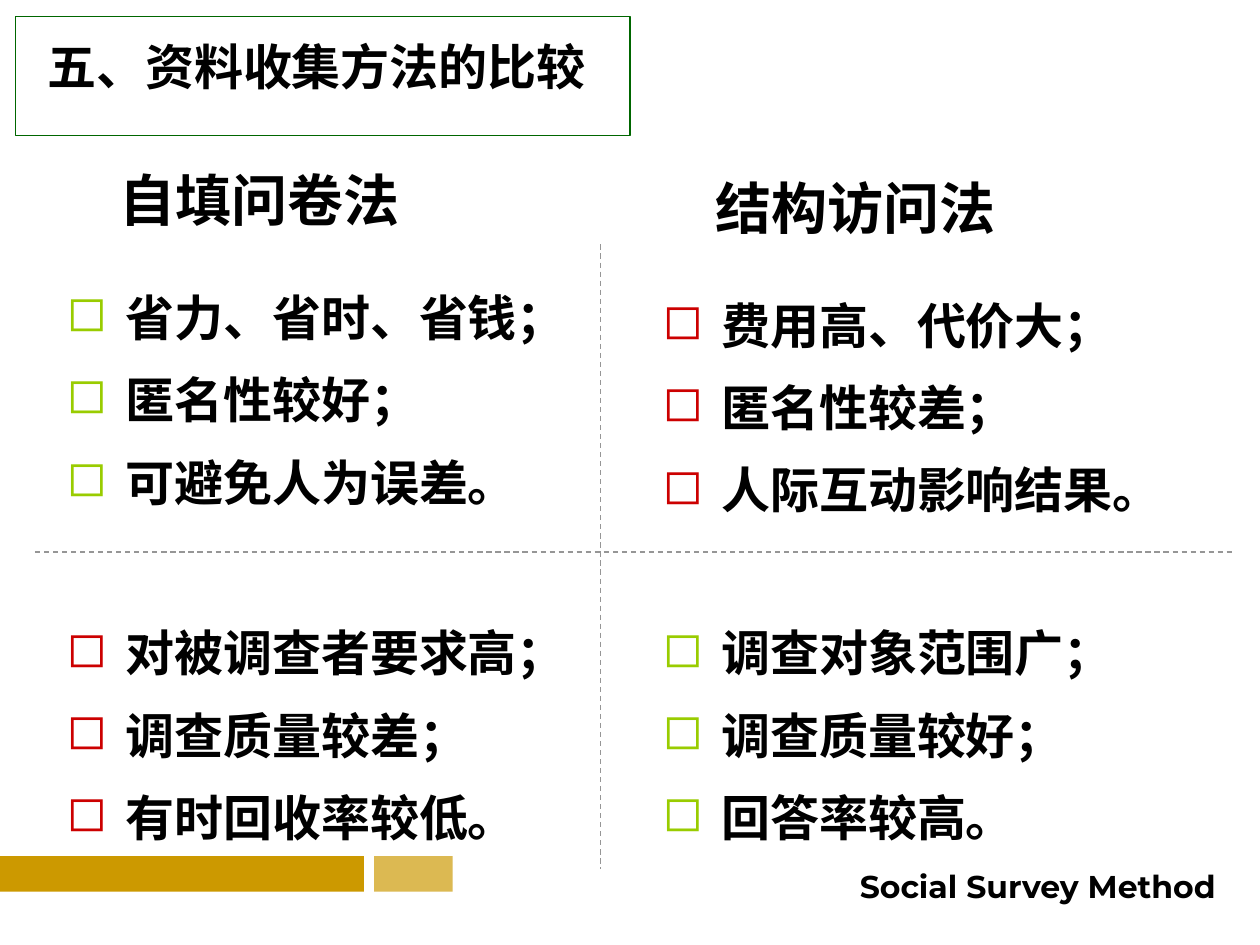
from lxml import etree
from pptx import Presentation
from pptx.dml.color import RGBColor
from pptx.enum.dml import MSO_LINE
from pptx.enum.shapes import MSO_CONNECTOR, MSO_SHAPE
from pptx.enum.text import PP_ALIGN
from pptx.oxml.ns import qn
from pptx.util import Pt

RECT, STRAIGHT = MSO_SHAPE.RECTANGLE, MSO_CONNECTOR.STRAIGHT
DASH, CENTER = MSO_LINE.DASH, PP_ALIGN.CENTER
CJK = "Noto Sans CJK JP"
GREEN, RED = "99CC00", "CC0000"


def color(value):
    return RGBColor.from_string(value)


def style(paragraph, text, size, latin, line_height=None):
    paragraph.text = text
    paragraph.line_spacing = Pt(line_height) if line_height else None
    font = paragraph.font
    font.size, font.bold, font.name = Pt(size), True, latin
    font.color.rgb = color("000000")
    east_asian = etree.SubElement(paragraph._p.pPr.find(qn("a:defRPr")), qn("a:ea"))
    east_asian.set("typeface", CJK)


prs = Presentation()
prs.slide_width, prs.slide_height = Pt(720), Pt(540)
slide = prs.slides.add_slide(prs.slide_layouts[6])
shapes = slide.shapes

# Gold bars at the foot; the short one is translucent
for left, width, opacity in [(0, 208), (213.8, 44.9)] and [(0, 208, 100), (213.8, 44.9, 68)]:
    bar = shapes.add_shape(RECT, Pt(left), Pt(489.3), Pt(width), Pt(20.3))
    bar.shadow.inherit = False
    bar.fill.solid()
    bar.fill.fore_color.rgb = color("CC9900")
    bar.line.fill.background()
    if opacity < 100:
        srgb = bar.fill._xPr.find(".//" + qn("a:srgbClr"))
        etree.SubElement(srgb, qn("a:alpha")).set("val", str(opacity * 1000))

# Course name
course = shapes.add_textbox(Pt(473), Pt(491.8), Pt(240), Pt(24)).text_frame
course.word_wrap = False
course.paragraphs[0].alignment = CENTER
style(course.paragraphs[0], "Social Survey Method", 18, "Montserrat")

# Four quadrants: left, top, top inset, heading, heading line height, bullet colour, points
quadrants = [
    (31, 88.6, 3.6, "自填问卷法", 41, GREEN,
     ["省力、省时、省钱；", "匿名性较好；", "可避免人为误差。"]),
    (371.5, 88.6, 3.6, "结构访问法", 45.5, RED,
     ["费用高、代价大；", "匿名性较差；", "人际互动影响结果。"]),
    (31, 275.8, 66.7, None, None, RED,
     ["对被调查者要求高；", "调查质量较差；", "有时回收率较低。"]),
    (371.5, 275.8, 66.7, None, None, GREEN,
     ["调查对象范围广；", "调查质量较好；", "回答率较高。"]),
]
for left, top, inset, heading, heading_height, bullet_color, points in quadrants:
    quadrant = shapes.add_textbox(Pt(left), Pt(top), Pt(351.4), Pt(283.7)).text_frame
    quadrant.word_wrap = True
    quadrant.margin_top = Pt(inset)
    paragraph = quadrant.paragraphs[0]
    if heading:
        paragraph._p.get_or_add_pPr().set("marL", str(Pt(30)))
        style(paragraph, heading, 32, CJK, heading_height)
        paragraph = quadrant.add_paragraph()
        paragraph.space_before = Pt(17.5)
    for index, point in enumerate(points):
        if index:
            paragraph = quadrant.add_paragraph()
        properties = paragraph._p.get_or_add_pPr()
        properties.set("marL", str(Pt(33.6)))
        properties.set("indent", str(-Pt(33.6)))
        bullet_fill = etree.SubElement(properties, qn("a:buClr"))
        etree.SubElement(bullet_fill, qn("a:srgbClr")).set("val", bullet_color)
        etree.SubElement(properties, qn("a:buChar")).set("char", "◻")
        style(paragraph, point, 28, CJK, 47.1)

# Dashed dividers between the quadrants
for x1, y1, x2, y2 in [(20, 315.4, 705.6, 315.4), (343, 139.7, 343, 496.8)]:
    divider = shapes.add_connector(STRAIGHT, Pt(x1), Pt(y1), Pt(x2), Pt(y2))
    divider.line.color.rgb = color("969696")
    divider.line.width = Pt(0.75)
    divider.line.dash_style = DASH
    etree.SubElement(divider._element.spPr, qn("a:effectLst"))

# Title and its frame
title = shapes.add_textbox(Pt(20), Pt(15.1), Pt(379.4), Pt(41)).text_frame
title.word_wrap = True
style(title.paragraphs[0], "五、资料收集方法的比较", 28, "Arial", 36)

frame = shapes.add_shape(RECT, Pt(9), Pt(9.3), Pt(351), Pt(68))
frame.shadow.inherit = False
frame.fill.background()
frame.line.color.rgb = color("006600")
frame.line.width = Pt(0.75)

prs.save("out.pptx")
